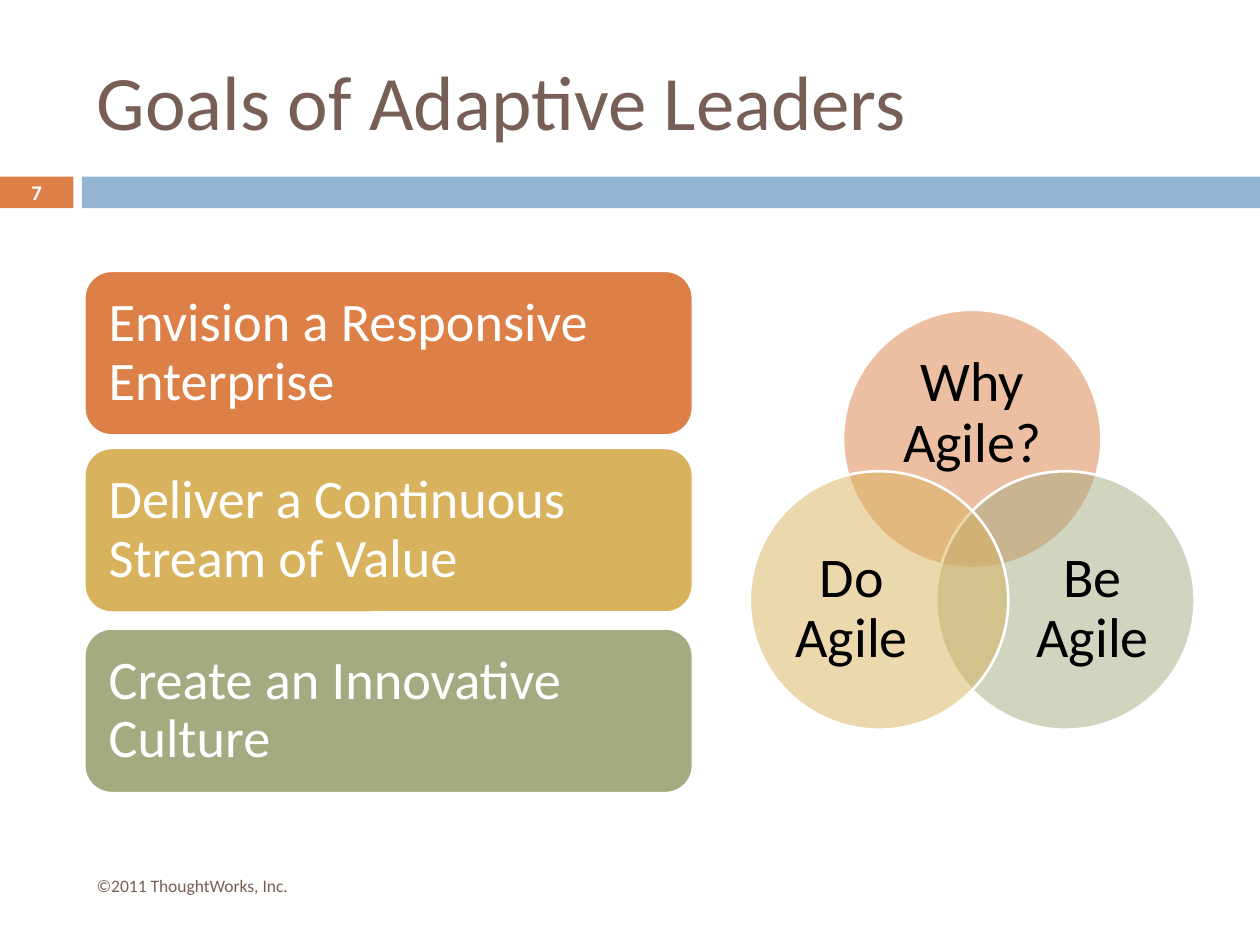
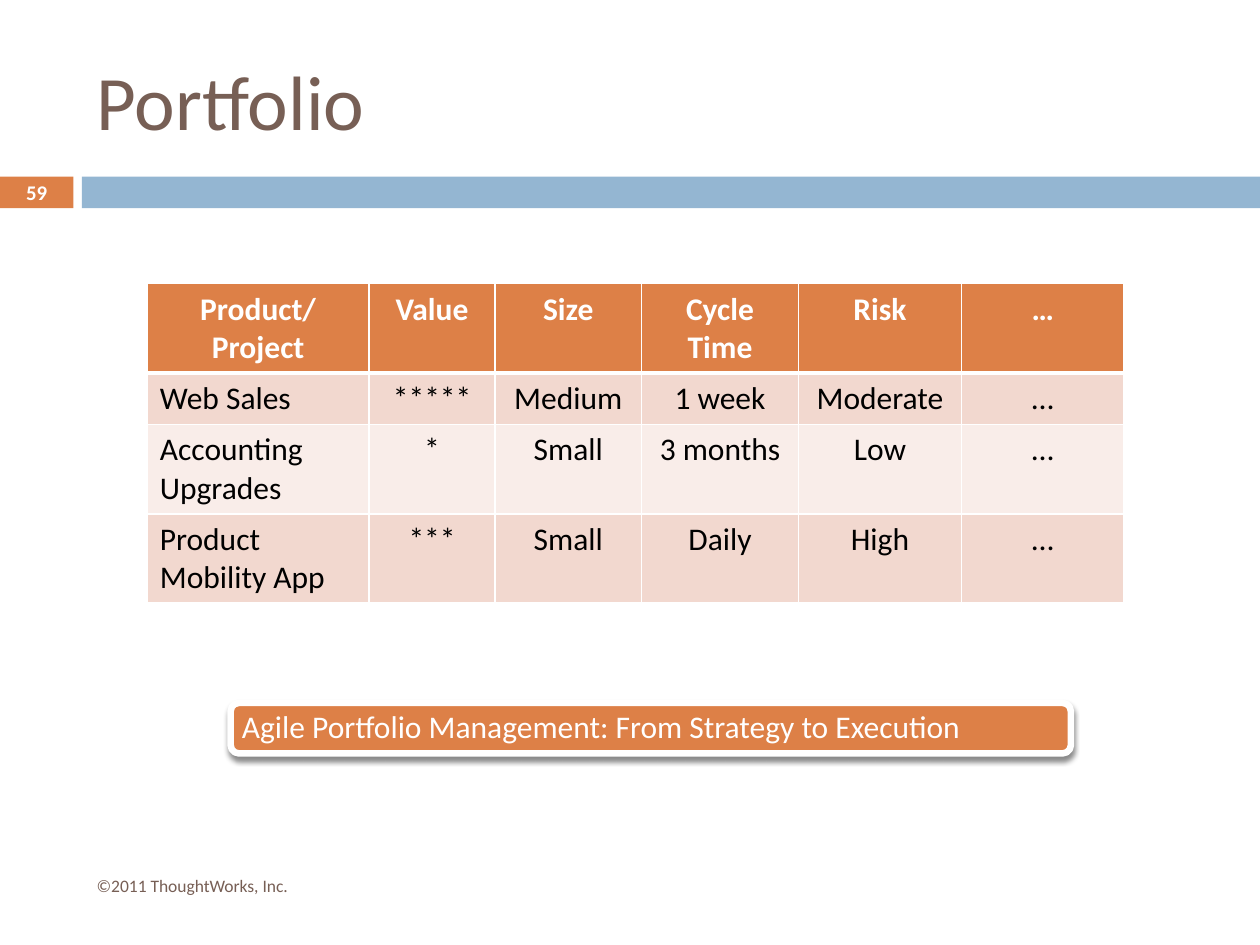
import math

import lxml.etree
import pptx
import pptx.dml.color
import pptx.enum.shapes
import pptx.enum.text
import pptx.oxml.ns
import pptx.util

Cm = pptx.util.Cm
Pt = pptx.util.Pt
SHAPE = pptx.enum.shapes.MSO_SHAPE
ALIGN = pptx.enum.text.PP_ALIGN
ANCHOR = pptx.enum.text.MSO_ANCHOR

# Shared look
ORANGE, GOLD, GREEN, BLUE = "DD8047", "D8B25C", "A5AB81", "94B6D2"
BROWN, WHITE, BLACK = "775F55", "FFFFFF", "000000"
TITLE = {"size": Pt(44), "color": BROWN}
NUMBER = {"size": Pt(11.9), "color": WHITE, "bold": True}
FOOTER = {"size": Pt(10), "color": BROWN}
CARD = {"size": Pt(31), "color": WHITE}
CIRCLE = {"size": Pt(32), "color": BLACK}
BANNER = {"size": Pt(18), "color": WHITE}
TABLE_HEAD = {"size": Pt(18), "color": WHITE, "bold": True}
TABLE_BODY = {"size": Pt(18), "color": BLACK, "bold": False}
BAND_TOP, BAND_HEIGHT = 3.56, 0.64

# Content
FOOTER_TEXT = "©2011 ThoughtWorks, Inc."
GOALS = [  # text, colour, top
    ("Envision a Responsive Enterprise", ORANGE, 5.46),
    ("Deliver a Continuous Stream of Value", GOLD, 9.03),
    ("Create an Innovative Culture", GREEN, 12.67),
]
VENN = [  # text, colour, angle, text offset from circle centre, text size
    ("Why Agile?", ORANGE, -90, (0, -0.51), (3.81, 2.34)),
    ("Be Agile", GREEN, 30, (0.55, 0.18), (3.12, 2.87)),
    ("Do Agile", GOLD, 150, (-0.55, 0.18), (3.12, 2.87)),
]
PROJECTS = [
    ("Product/\vProject", "Value", "Size", "Cycle\vTime", "Risk", "…"),
    ("Web Sales", "*****", "Medium", "1 week", "Moderate", "…"),
    ("Accounting Upgrades", "*", "Small", "3 months", "Low", "…"),
    ("Product Mobility App", "***", "Small", "Daily", "High", "…"),
]
COLUMN_WIDTHS = [4.47, 2.54, 2.95, 3.17, 3.28, 3.28]
ROW_HEIGHTS = [1.8, 1.04, 1.8, 1.8]
ROW_FILLS = [ORANGE, "F2D8CF", "F9EDE9", "F2D8CF"]
BANNER_TEXT = "Agile Portfolio Management: From Strategy to Execution"


def rgb(color):
    return pptx.dml.color.RGBColor.from_string(color)


def add_element(parent, tag, **attributes):
    element = lxml.etree.SubElement(parent, pptx.oxml.ns.qn(tag))
    for name, value in attributes.items():
        element.set(name, str(value))
    return element


def write(text_frame, text, look, align=ALIGN.LEFT, spacing=None):
    paragraph = text_frame.paragraphs[0]
    paragraph.text = text
    paragraph.alignment = align
    if spacing:
        paragraph.line_spacing = spacing
    for run in paragraph.runs:
        run.font.name = "Calibri"
        for name, value in look.items():
            if name == "color":
                run.font.color.rgb = rgb(value)
            else:
                setattr(run.font, name, value)


def set_frame(text_frame, margin=None):
    frame_format = {"word_wrap": True, "vertical_anchor": ANCHOR.MIDDLE}
    if margin is not None:
        for side in ("left", "top", "right", "bottom"):
            frame_format[f"margin_{side}"] = Cm(margin)
    for name, value in frame_format.items():
        setattr(text_frame, name, value)


def add_text(slide, box, text, look, margin=None, **paragraph_format):
    shape = slide.shapes.add_textbox(*map(Cm, box))
    set_frame(shape.text_frame, margin)
    write(shape.text_frame, text, look, **paragraph_format)


def add_filled(slide, kind, box, color, line_width=None, alpha=None):
    shape = slide.shapes.add_shape(kind, *map(Cm, box))
    shape.shadow.inherit = False
    shape.fill.solid()
    shape.fill.fore_color.rgb = rgb(color)
    if alpha:
        fill_color = shape.fill._xPr.find(".//" + pptx.oxml.ns.qn("a:srgbClr"))
        add_element(fill_color, "a:alpha", val=alpha * 1000)
    if line_width:
        shape.line.color.rgb = rgb(WHITE)
        shape.line.width = Pt(line_width)
    else:
        shape.line.fill.background()
    return shape


def add_label(shape, text, look, margin):
    set_frame(shape.text_frame, margin)
    write(shape.text_frame, text, look, spacing=0.9)


def add_shadow(shape):
    effects = shape._element.spPr.find(pptx.oxml.ns.qn("a:effectLst"))
    shadow = add_element(effects, "a:outerShdw", blurRad=Pt(3), dist=Pt(2.4),
                         dir=90 * 60000, rotWithShape=0)
    add_element(add_element(shadow, "a:srgbClr", val=BLACK), "a:alpha", val=45000)


def add_borders(cell, top, bottom):
    properties = cell._tc.get_or_add_tcPr()
    for side, width in (("L", 1), ("R", 1), ("T", top), ("B", bottom)):
        line = add_element(properties, f"a:ln{side}", w=Pt(width))
        add_element(add_element(line, "a:solidFill"), "a:srgbClr", val=WHITE)


def add_base_slide(presentation, title, number):
    slide = presentation.slides.add_slide(presentation.slide_layouts[6])
    add_filled(slide, SHAPE.RECTANGLE, (0, BAND_TOP, 1.48, BAND_HEIGHT), ORANGE)
    add_filled(slide, SHAPE.RECTANGLE, (1.65, BAND_TOP, 23.75, BAND_HEIGHT), BLUE)
    add_text(slide, (1.7, 0.64, 22.65, 2.75), title, TITLE)
    add_text(slide, (0, 3.54, 1.48, 0.68), number, NUMBER, align=ALIGN.CENTER)
    add_text(slide, (1.7, 17.35, 15.05, 1.02), FOOTER_TEXT, FOOTER)
    return slide


def build_goals(presentation):
    slide = add_base_slide(presentation, "Goals of Adaptive Leaders", "7")

    # Goal cards
    for text, color, top in GOALS:
        card = add_filled(slide, SHAPE.ROUNDED_RECTANGLE,
                          (1.7, top, 12.27, 3.32), color, 1.5)
        add_label(card, text, CARD, 0.33)

    # Three overlapping circles around one centre
    centre_x, centre_y, distance, diameter = 19.6, 11.02, 2.17, 5.21
    for text, color, angle, (shift_x, shift_y), (width, height) in VENN:
        x = centre_x + distance * math.cos(math.radians(angle))
        y = centre_y + distance * math.sin(math.radians(angle))
        add_filled(slide, SHAPE.OVAL,
                   (x - diameter / 2, y - diameter / 2, diameter, diameter),
                   color, 1.5, alpha=50)
        add_text(slide,
                 (x + shift_x - width / 2, y + shift_y - height / 2, width, height),
                 text, CIRCLE, margin=0, align=ALIGN.CENTER, spacing=0.9)


def build_portfolio(presentation):
    slide = add_base_slide(presentation, "Portfolio", "59")

    # Project table
    box = (2.97, 5.72, sum(COLUMN_WIDTHS), sum(ROW_HEIGHTS))
    table = slide.shapes.add_table(len(PROJECTS), len(COLUMN_WIDTHS),
                                   *map(Cm, box)).table
    for column, width in zip(table.columns, COLUMN_WIDTHS):
        column.width = Cm(width)
    for row_index, texts in enumerate(PROJECTS):
        table.rows[row_index].height = Cm(ROW_HEIGHTS[row_index])
        is_head = row_index == 0
        for column_index, text in enumerate(texts):
            cell = table.cell(row_index, column_index)
            add_borders(cell, 3 if row_index == 1 else 1, 3 if is_head else 1)
            cell.fill.solid()
            cell.fill.fore_color.rgb = rgb(ROW_FILLS[row_index])
            centred = is_head or column_index > 0
            write(cell.text_frame, text, TABLE_HEAD if is_head else TABLE_BODY,
                  ALIGN.CENTER if centred else ALIGN.LEFT)

    # Closing banner
    banner = add_filled(slide, SHAPE.ROUNDED_RECTANGLE,
                        (4.65, 14.17, 16.94, 1.02), ORANGE, 3.75)
    add_shadow(banner)
    add_label(banner, BANNER_TEXT, BANNER, 0.18)


def main():
    presentation = pptx.Presentation()
    presentation.slide_width = Cm(25.4)
    presentation.slide_height = Cm(19.05)
    build_goals(presentation)
    build_portfolio(presentation)
    presentation.save("out.pptx")


if __name__ == "__main__":
    main()
